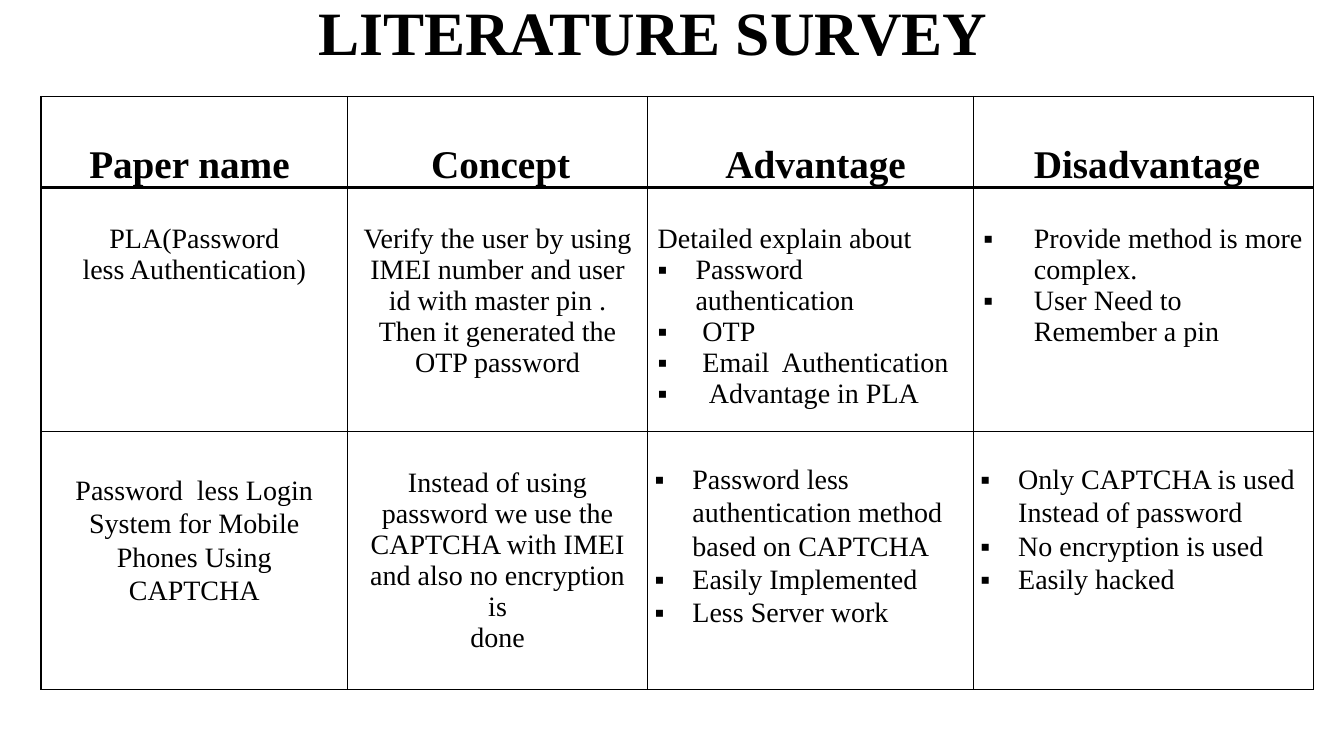
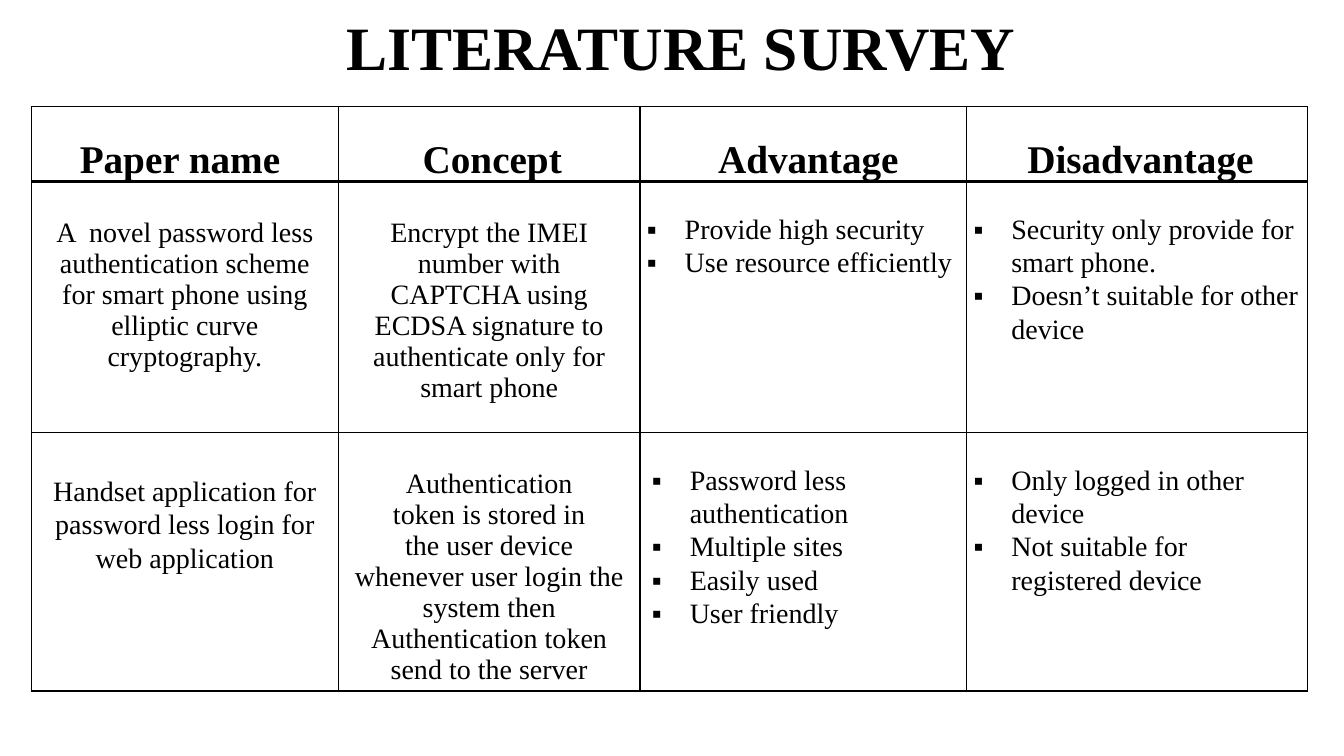
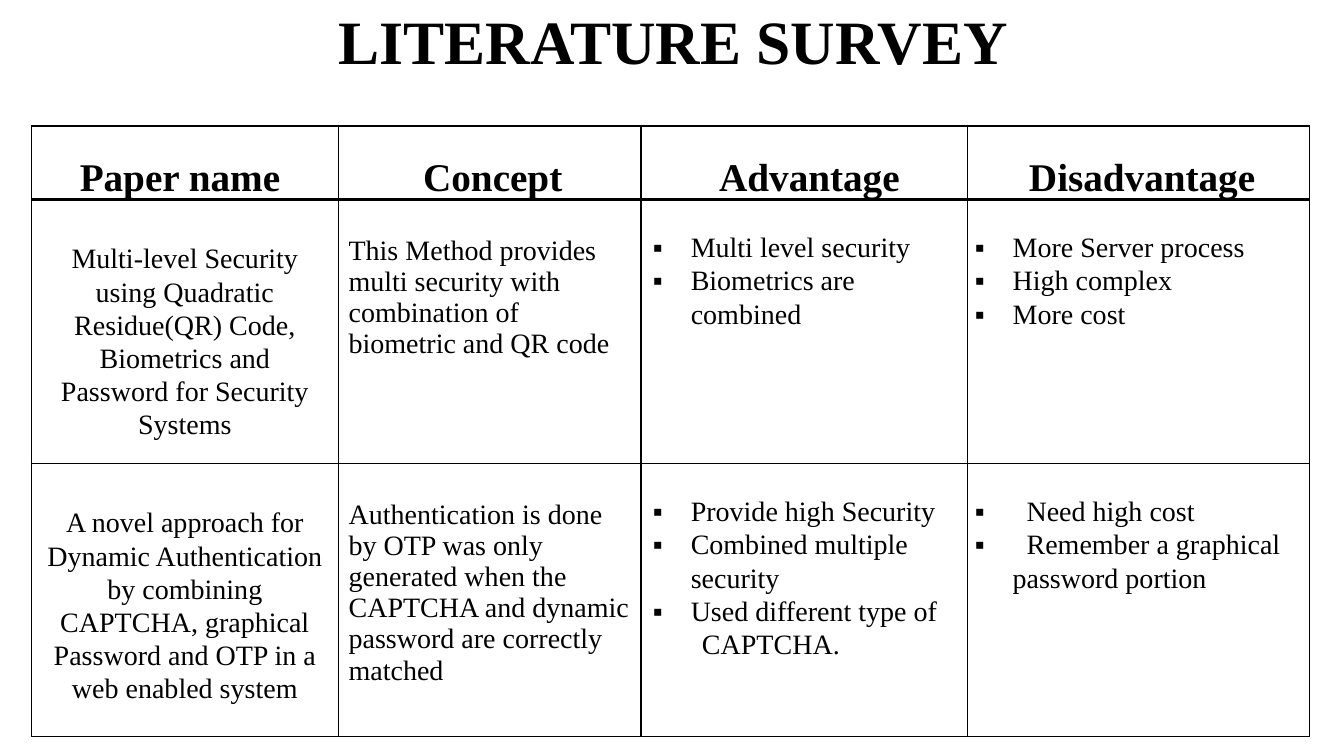
"""Build three literature survey slides, each with a title and a comparison table."""
from lxml import etree
from pptx import Presentation
from pptx.dml.color import RGBColor
from pptx.enum.text import MSO_ANCHOR, MSO_AUTO_SIZE, PP_ALIGN
from pptx.oxml.ns import qn
from pptx.util import Pt

LEFT, CENTER = PP_ALIGN.LEFT, PP_ALIGN.CENTER
MIDDLE, TOP, BOTTOM = MSO_ANCHOR.MIDDLE, MSO_ANCHOR.TOP, MSO_ANCHOR.BOTTOM
NO_AUTOFIT = MSO_AUTO_SIZE.NONE

FONT = "Times New Roman"
BLACK, WHITE = "000000", "FFFFFF"
BULLET = "▪"
BULLET_INDENT = 27
TITLE = "LITERATURE SURVEY"
HEADINGS = [
    ("Paper name", 0, 7),
    ("Concept", 4.3, 0),
    ("Advantage", 7.2, 0),
    ("Disadvantage", 5, 0),
]

CELL_STYLES = {
    "centered": dict(side=7.2, top=25.7, bottom=3.6, alignment=CENTER, spacing=1.0),
    "left": dict(side=7.2, top=25.7, bottom=3.6, alignment=LEFT, spacing=1.0),
    "name": dict(side=8.6, top=30, bottom=0, alignment=CENTER, spacing=1.07),
    "tight": dict(side=5, top=22.1, bottom=0, alignment=LEFT, spacing=1.07),
    "loose": dict(side=8.6, top=22.1, bottom=0, alignment=LEFT, spacing=1.07),
}

SURVEYS = [
    dict(
        title_box=(12, 0.7, 800, 49), title_indent=208,
        origin=(29.3, 69), columns=(219, 214.3, 232.7, 243), rows=(64.8, 174.5, 184),
        papers=[
            [
                ("centered", ["PLA(Password", "less Authentication)"]),
                ("centered", ["Verify the user by using IMEI number and user id with master pin . "
                              "Then it generated the", "OTP password"]),
                ("left", ["Detailed explain about", "▪Password authentication", ("▪OTP", 32),
                          ("▪Email  Authentication", 32), ("▪Advantage in PLA", 36.5)]),
                ("left", [("▪Provide method is more complex.", 36),
                          ("▪User Need to Remember a pin", 36)]),
            ],
            [
                ("name", ["Password  less Login System for Mobile Phones Using CAPTCHA"]),
                ("centered", ["Instead of using",
                              "password we use the CAPTCHA with IMEI and also no encryption is",
                              "done"]),
                ("tight", ["▪Password less authentication method based on CAPTCHA",
                           "▪Easily Implemented", "▪Less Server work"]),
                ("tight", ["▪Only CAPTCHA is used Instead of password",
                           "▪No encryption is used", "▪Easily hacked"]),
            ],
        ],
    ),
    dict(
        title_box=(229, -15.8, 731, 104.4), title_indent=11,
        origin=(22.3, 76.3), columns=(219.5, 215.3, 233.3, 243.4), rows=(53.3, 179.3, 184.5),
        papers=[
            [
                ("centered", ["A  novel password less authentication scheme for smart phone "
                              "using elliptic curve cryptography."]),
                ("centered", ["Encrypt the IMEI", "number with", "CAPTCHA using",
                              "ECDSA signature to authenticate only for smart phone"]),
                ("tight", ["▪Provide high security", "▪Use resource efficiently"]),
                ("tight", ["▪Security only provide for smart phone.",
                           "▪Doesn’t suitable for other device"]),
            ],
            [
                ("name", ["Handset application for password less login for web application"]),
                ("centered", ["Authentication", "token is stored in",
                              "the user device whenever user login the system then "
                              "Authentication token send to the server"]),
                ("loose", ["▪Password less authentication", "▪Multiple sites",
                           "▪Easily used", "▪User friendly"]),
                ("tight", ["▪Only logged in other device",
                           "▪Not suitable for registered device"]),
            ],
        ],
    ),
    dict(
        title_box=(234.7, 0, 511, 63.4), title_indent=0,
        origin=(22.3, 90), columns=(219.5, 216, 233.5, 244), rows=(52.6, 188.6, 195),
        papers=[
            [
                ("name", ["Multi-level Security using Quadratic Residue(QR) Code, "
                          "Biometrics and Password for Security Systems"]),
                ("left", ["This Method provides multi security with", "combination of",
                          "biometric and QR code"]),
                ("loose", ["▪Multi level security", "▪Biometrics are combined"]),
                ("tight", ["▪More Server process", "▪High complex", "▪More cost"]),
            ],
            [
                ("name", ["A novel approach for Dynamic Authentication by combining CAPTCHA, "
                          "graphical Password and OTP in a web enabled system"]),
                ("left", ["Authentication is done by OTP was only generated when the CAPTCHA "
                          "and dynamic password are correctly matched"]),
                ("loose", ["▪Provide high Security", "▪Combined multiple security",
                           "▪Used different type of", ("CAPTCHA.", 35)]),
                ("tight", [("▪Need high cost", 37), ("▪Remember a graphical", 37),
                           ("password portion", 27)]),
            ],
        ],
    ),
]


def write_text(frame, lines, size=20, bold=False, alignment=LEFT, spacing=1.0):
    """Fill a text frame with lines; a line is text, or text with its indent in points."""
    for number, line in enumerate(lines):
        text, indent = line if isinstance(line, tuple) else (line, None)
        paragraph = frame.paragraphs[0] if number == 0 else frame.add_paragraph()
        paragraph.alignment = alignment
        paragraph.line_spacing = spacing
        run = paragraph.add_run()
        run.text = text.removeprefix(BULLET)
        run.font.name = FONT
        run.font.size = Pt(size)
        run.font.bold = bold
        run.font.color.rgb = RGBColor.from_string(BLACK)
        properties = paragraph._p.get_or_add_pPr()
        if text.startswith(BULLET):
            indent = indent or BULLET_INDENT
            properties.set("indent", str(-Pt(indent)))
            etree.SubElement(properties, qn("a:buFont"), typeface=FONT)
            etree.SubElement(properties, qn("a:buChar"), char=BULLET)
        if indent:
            properties.set("marL", str(Pt(indent)))


def format_cell(cell, left, right, top, bottom, anchor, top_line, bottom_line):
    """Set the margins, anchor, borders and fill of a table cell."""
    cell.margin_left, cell.margin_right = Pt(left), Pt(right)
    cell.margin_top, cell.margin_bottom = Pt(top), Pt(bottom)
    cell.vertical_anchor = anchor
    properties = cell._tc.get_or_add_tcPr()
    for side, width in (("L", 1), ("R", 1), ("T", top_line), ("B", bottom_line)):
        line = etree.SubElement(properties, qn(f"a:ln{side}"), w=str(Pt(width)))
        line_fill = etree.SubElement(line, qn("a:solidFill"))
        etree.SubElement(line_fill, qn("a:srgbClr"), val=BLACK)
    cell.fill.solid()
    cell.fill.fore_color.rgb = RGBColor.from_string(WHITE)


presentation = Presentation()
presentation.slide_width, presentation.slide_height = Pt(960), Pt(540)
title_only = presentation.slide_layouts[5]

for survey in SURVEYS:
    slide = presentation.slides.add_slide(title_only)
    title = slide.shapes.title
    title.left, title.top, title.width, title.height = map(Pt, survey["title_box"])
    title.text_frame.auto_size = NO_AUTOFIT
    title.text_frame.vertical_anchor = MIDDLE
    write_text(title.text_frame, [(TITLE, survey["title_indent"])], size=44, bold=True, spacing=0.9)

    columns, rows = survey["columns"], survey["rows"]
    table = slide.shapes.add_table(
        len(rows), len(columns), *map(Pt, survey["origin"]), Pt(sum(columns)), Pt(sum(rows))
    ).table
    table.first_row = table.horz_banding = False
    for column, width in zip(table.columns, columns):
        column.width = Pt(width)
    for row, height in zip(table.rows, rows):
        row.height = Pt(height)

    for cell, (heading, left, right) in zip(table.rows[0].cells, HEADINGS):
        format_cell(cell, left, right, 0, 0, BOTTOM, 1, 2)
        write_text(cell.text_frame, [heading], size=28, bold=True, alignment=CENTER)
    for row_number, paper in enumerate(survey["papers"], start=1):
        for cell, (style_name, lines) in zip(table.rows[row_number].cells, paper):
            style = CELL_STYLES[style_name]
            format_cell(cell, style["side"], style["side"], style["top"], style["bottom"], TOP,
                        2 if row_number == 1 else 1, 1)
            write_text(cell.text_frame, lines, alignment=style["alignment"], spacing=style["spacing"])

presentation.save("out.pptx")
